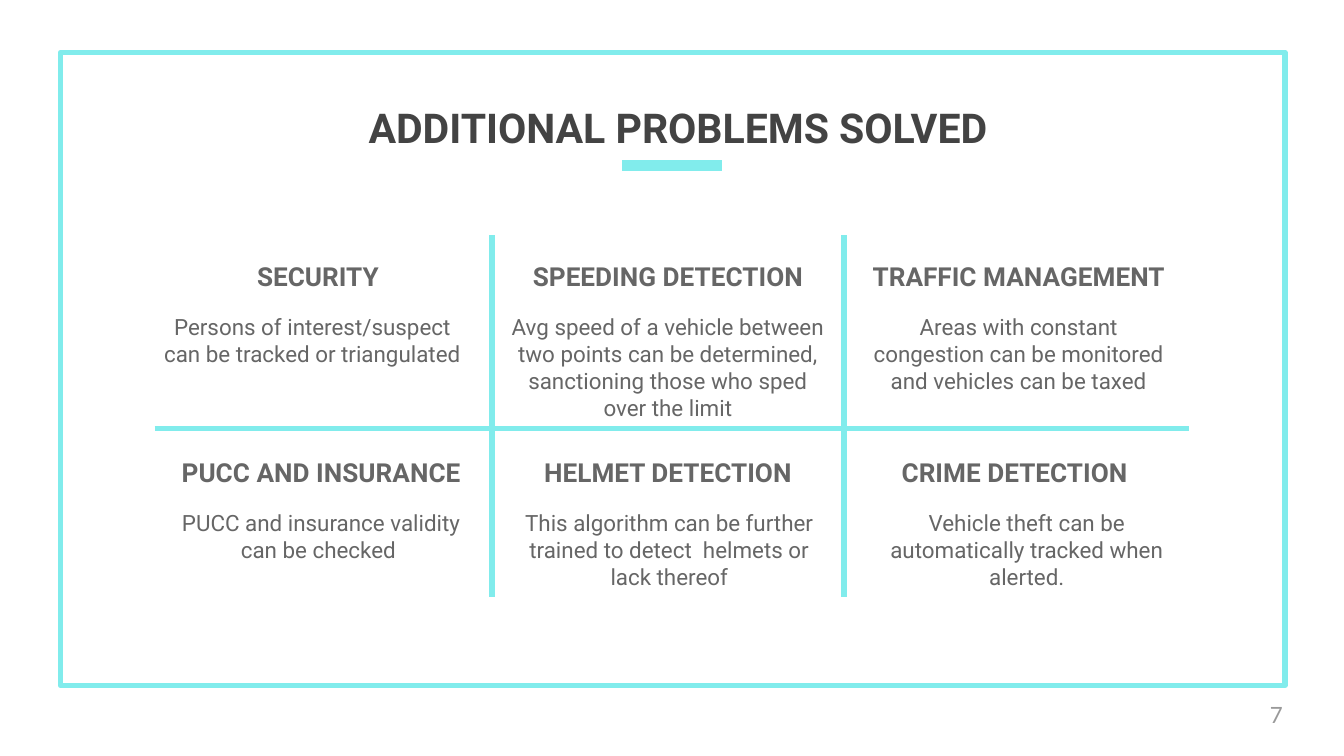
from lxml.etree import SubElement
from pptx import Presentation
from pptx.dml.color import RGBColor
from pptx.enum.shapes import MSO_CONNECTOR as Connector, MSO_SHAPE as Preset
from pptx.enum.text import MSO_ANCHOR as Anchor, PP_ALIGN as Align
from pptx.oxml.ns import qn
from pptx.util import Inches, Pt

# Content: heading, its (left, width), description, its (left, width)
TITLE = "ADDITIONAL PROBLEMS SOLVED"
PAGE_NUMBER = "7"
PROBLEMS = [
    [
        ("SECURITY ", (1.12, 2.54),
         "Persons of interest/suspect can be tracked or triangulated", (1.1, 2.45)),
        ("SPEEDING DETECTION", (3.68, 2.58),
         "Avg speed of a vehicle between two points can be determined, "
         "sanctioning those who sped over the limit", (3.7, 2.54)),
        ("TRAFFIC MANAGEMENT", (6.29, 2.58),
         "Areas with constant congestion can be monitored and vehicles can be taxed",
         (6.33, 2.5)),
    ],
    [
        ("PUCC AND INSURANCE", (1.12, 2.54),
         "PUCC and insurance validity can be checked ", (1.12, 2.54)),
        ("HELMET DETECTION", (3.68, 2.58),
         "This algorithm can be further trained to detect  helmets or lack thereof",
         (3.69, 2.58)),
        ("CRIME DETECTION", (6.28, 2.54),
         "Vehicle theft can be automatically tracked when alerted.", (6.43, 2.42)),
    ],
]

THEME = {
    "accent": RGBColor.from_string("81ECEC"),
    "title": RGBColor.from_string("434343"),
    "text": RGBColor.from_string("666666"),
    "number": RGBColor.from_string("999999"),
    "font": "Roboto",
    "number_font": "Lato",
    "title_size": 22,
    "heading_size": 14,
    "body_size": 12,
}

# Layout in inches
ROW_TOPS = (1.74, 3.2)
HEADING_HEIGHT, BODY_OFFSET, BODY_HEIGHT = 0.53, 0.49, 0.71
DIVIDER_Y = 3.19
COLUMN_DIVIDERS = (3.66, 6.28)
CELL_RULE_LEFTS, CELL_RULE_WIDTH = (1.26, 3.84, 6.46), 2.25


def add_text(slide, text, left, top, width, height, *, size, color=THEME["text"],
             font=THEME["font"], bold=False, align=Align.CENTER, anchor=Anchor.BOTTOM):
    box = slide.shapes.add_textbox(*map(Inches, (left, top, width, height)))
    frame = box.text_frame
    frame.word_wrap = True
    frame.vertical_anchor = anchor
    frame.margin_left = frame.margin_right = Inches(0.1)
    frame.margin_top = frame.margin_bottom = Inches(0.1)
    paragraph = frame.paragraphs[0]
    paragraph.alignment = align
    run = paragraph.add_run()
    run.text = text
    run.font.name = font
    run.font.size = Pt(size)
    run.font.bold = bold
    run.font.color.rgb = color


def add_line(slide, x1, y1, x2, y2, weight=3):
    line = slide.shapes.add_connector(Connector.STRAIGHT, *map(Inches, (x1, y1, x2, y2)))
    line.line.color.rgb = THEME["accent"]
    line.line.width = Pt(weight)
    SubElement(line._element.spPr, qn("a:effectLst"))


def add_frame(slide):
    frame = slide.shapes.add_shape(Preset.RECTANGLE, *map(Inches, (0.45, 0.39, 9.11, 4.71)))
    frame.shadow.inherit = False
    frame.fill.background()
    frame.line.color.rgb = THEME["accent"]
    frame.line.width = Pt(3)
    SubElement(frame._element.spPr.find(qn("a:ln")), qn("a:round"))


def main():
    # Widescreen 16:9 page
    presentation = Presentation()
    presentation.slide_width = Inches(10)
    presentation.slide_height = Inches(10) * 9 // 16
    slide = presentation.slides.add_slide(presentation.slide_layouts[6])

    # Frame, title and page number
    add_frame(slide)
    add_text(slide, TITLE, 0.85, 0.7, 8.39, 0.53, size=THEME["title_size"],
             color=THEME["title"], bold=True)
    add_line(slide, 4.63, 1.23, 5.37, 1.23, weight=6)
    add_text(slide, PAGE_NUMBER, 9.35, 5.1, 0.6, 0.43, size=THEME["body_size"],
             color=THEME["number"], font=THEME["number_font"],
             align=Align.LEFT, anchor=Anchor.MIDDLE)

    # Grid dividers
    add_line(slide, 1.15, DIVIDER_Y, 8.85, DIVIDER_Y)
    for x in COLUMN_DIVIDERS:
        add_line(slide, x, 1.75, x, 4.44)
    for left in CELL_RULE_LEFTS:
        add_line(slide, left, DIVIDER_Y, left + CELL_RULE_WIDTH, DIVIDER_Y, weight=2.25)

    # Problem cells
    for top, row in zip(ROW_TOPS, PROBLEMS):
        for heading, (heading_left, heading_width), body, (body_left, body_width) in row:
            add_text(slide, heading, heading_left, top, heading_width, HEADING_HEIGHT,
                     size=THEME["heading_size"], bold=True)
            add_text(slide, body, body_left, top + BODY_OFFSET, body_width, BODY_HEIGHT,
                     size=THEME["body_size"], anchor=Anchor.TOP)

    presentation.save("out.pptx")


if __name__ == "__main__":
    main()
